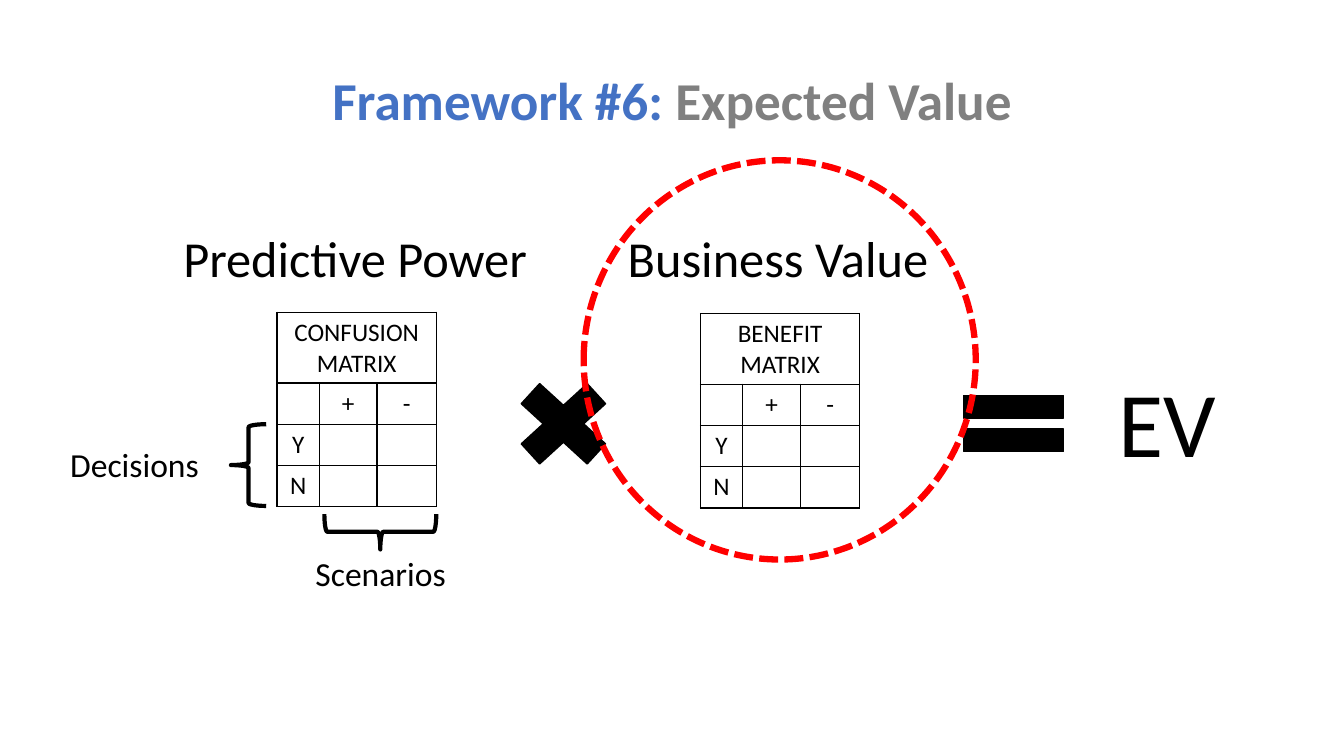
from lxml.etree import SubElement
from pptx import Presentation
from pptx.dml.color import RGBColor
from pptx.enum.dml import MSO_LINE
from pptx.enum.shapes import MSO_SHAPE
from pptx.enum.text import MSO_AUTO_SIZE, PP_ALIGN
from pptx.oxml.ns import qn
from pptx.util import Cm, Pt

COLORS = {"black": "000000", "blue": "4472C4", "gray": "808080", "red": "FF0000"}
COLUMN_WIDTHS = (1.07, 1.45, 1.5)
ROW_HEIGHTS = (1.78, 1.04, 1.04, 1.04)


def rgb(color):
    return RGBColor.from_string(COLORS[color])


def add_run(paragraph, text, size, color="black", bold=False):
    run = paragraph.add_run()
    run.text = text
    font_format = {"name": "Calibri", "size": Pt(size), "bold": bold}
    for attribute, value in font_format.items():
        setattr(run.font, attribute, value)
    run.font.color.rgb = rgb(color)


def add_label(slide, text, size, box):
    """Add a one-line text that fits its box to the words."""
    frame = slide.shapes.add_textbox(*map(Cm, box)).text_frame
    frame_format = {"word_wrap": False, "auto_size": MSO_AUTO_SIZE.SHAPE_TO_FIT_TEXT}
    for attribute, value in frame_format.items():
        setattr(frame, attribute, value)
    add_run(frame.paragraphs[0], text, size)


def add_title(slide, parts, box):
    frame = slide.shapes.add_textbox(*map(Cm, box)).text_frame
    frame.word_wrap = True
    heading = frame.paragraphs[0]
    for attribute, value in {"alignment": PP_ALIGN.CENTER, "line_spacing": 0.9}.items():
        setattr(heading, attribute, value)
    for text, color in parts:
        add_run(heading, text, 38, color, bold=True)


def add_symbol(slide, preset, box, line_width, color="black", filled=False,
               rotation=0, dash=None):
    symbol = slide.shapes.add_shape(preset, *map(Cm, box))
    symbol.shadow.inherit = False
    symbol.rotation = rotation
    if filled:
        symbol.fill.solid()
        symbol.fill.fore_color.rgb = rgb(color)
    else:
        symbol.fill.background()
    symbol.line.color.rgb = rgb(color)
    for attribute, value in {"width": Pt(line_width), "dash_style": dash}.items():
        setattr(symbol.line, attribute, value)


def add_borders(cell):
    properties = cell._tc.get_or_add_tcPr()
    for position, side in enumerate(("lnL", "lnR", "lnT", "lnB")):
        border = SubElement(properties, qn(f"a:{side}"), w=str(Pt(1)))
        paint = SubElement(border, qn("a:solidFill"))
        SubElement(paint, qn("a:srgbClr"), val=COLORS["black"])
        properties.insert(position, border)


def add_matrix(slide, heading, left, top):
    """Add a table of decisions by scenarios under a merged heading."""
    rows = ((heading, "", ""), ("", "+", "-"), ("Y", "", ""), ("N", "", ""))
    matrix = slide.shapes.add_table(
        len(rows), len(COLUMN_WIDTHS), Cm(left), Cm(top),
        Cm(sum(COLUMN_WIDTHS)), Cm(sum(ROW_HEIGHTS))).table
    for attribute in ("first_row", "horz_banding"):
        setattr(matrix, attribute, False)
    for column, width in zip(matrix.columns, COLUMN_WIDTHS):
        column.width = Cm(width)
    for row, height, texts in zip(matrix.rows, ROW_HEIGHTS, rows):
        row.height = Cm(height)
        for cell, text in zip(row.cells, texts):
            cell.fill.background()
            add_borders(cell)
            if text:
                paragraph = cell.text_frame.paragraphs[0]
                paragraph.alignment = PP_ALIGN.CENTER
                add_run(paragraph, text, 18)
    matrix.cell(0, 0).merge(matrix.cell(0, len(COLUMN_WIDTHS) - 1))


def main():
    deck = Presentation()
    for attribute, value in {"slide_width": 33.87, "slide_height": 19.05}.items():
        setattr(deck, attribute, Cm(value))
    slide = deck.slides.add_slide(deck.slide_layouts[6])

    add_title(slide, (("Framework #6: ", "blue"), ("Expected Value", "gray")),
              (4.06, 1.75, 25.76, 2.21))

    add_label(slide, "Predictive Power", 36, (4.37, 5.61, 9.27, 1.8))
    add_matrix(slide, "CONFUSION MATRIX", 6.98, 7.87)
    add_symbol(slide, MSO_SHAPE.LEFT_BRACE, (5.82, 10.69, 0.89, 2.06), 3)
    add_label(slide, "Decisions", 24, (1.52, 11.07, 3.78, 1.27))
    add_symbol(slide, MSO_SHAPE.LEFT_BRACE, (9.14, 11.99, 0.89, 2.82), 3, rotation=270)
    add_label(slide, "Scenarios", 24, (7.7, 13.82, 3.84, 1.27))

    add_symbol(slide, MSO_SHAPE.MATH_MULTIPLY, (12.6, 9.22, 3.2, 2.92), 1, filled=True)
    add_label(slide, "Business Value", 36, (15.57, 5.61, 8.15, 1.8))
    add_matrix(slide, "BENEFIT MATRIX", 17.65, 7.9)

    add_symbol(slide, MSO_SHAPE.MATH_EQUAL, (23.83, 9.47, 3.43, 2.41), 1, filled=True)
    add_label(slide, "EV", 66, (27.94, 9.07, 3, 3.07))
    add_symbol(slide, MSO_SHAPE.OVAL, (14.71, 4.04, 9.88, 10.06), 4.5, "red",
               dash=MSO_LINE.SQUARE_DOT)

    deck.save("out.pptx")


if __name__ == "__main__":
    main()
